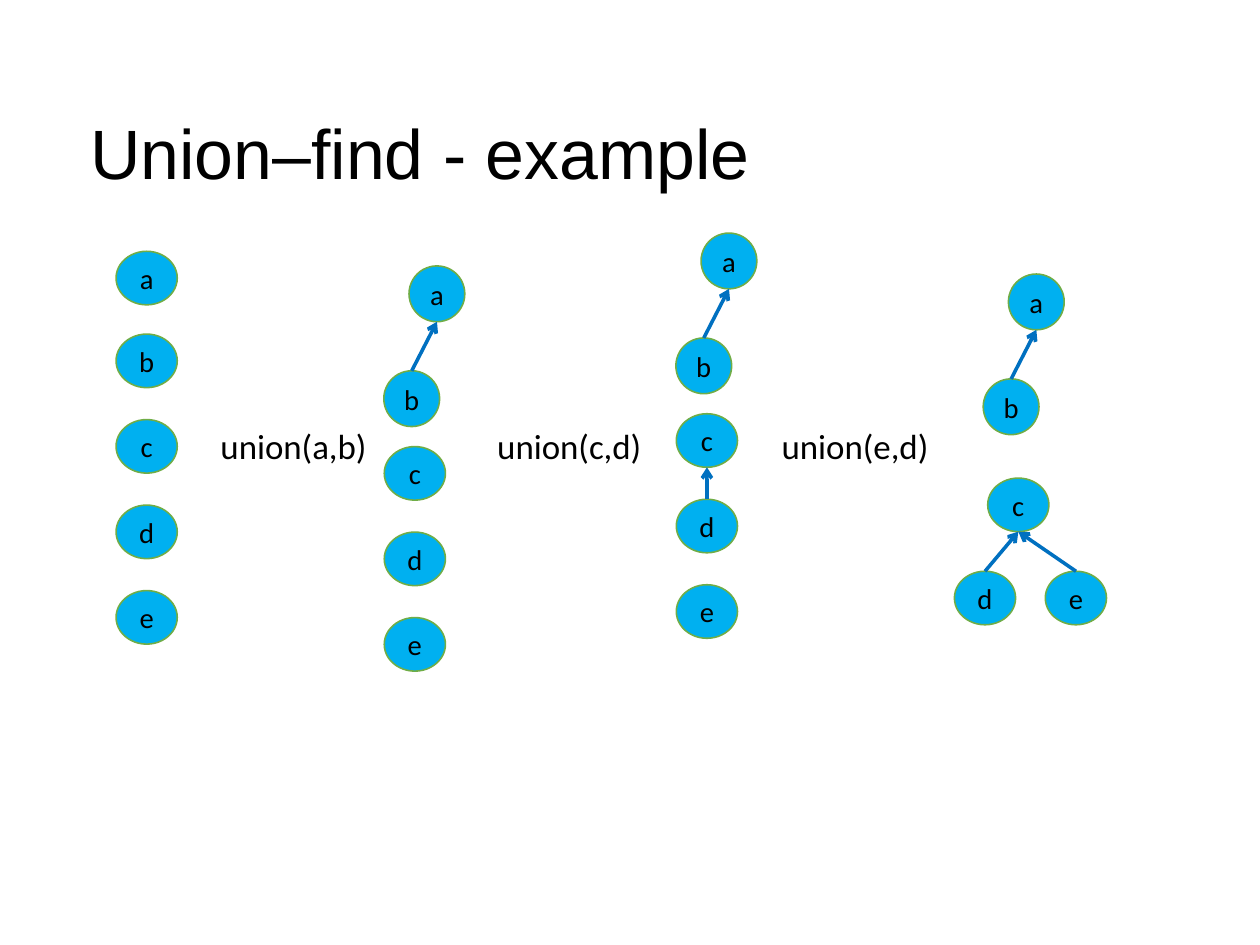
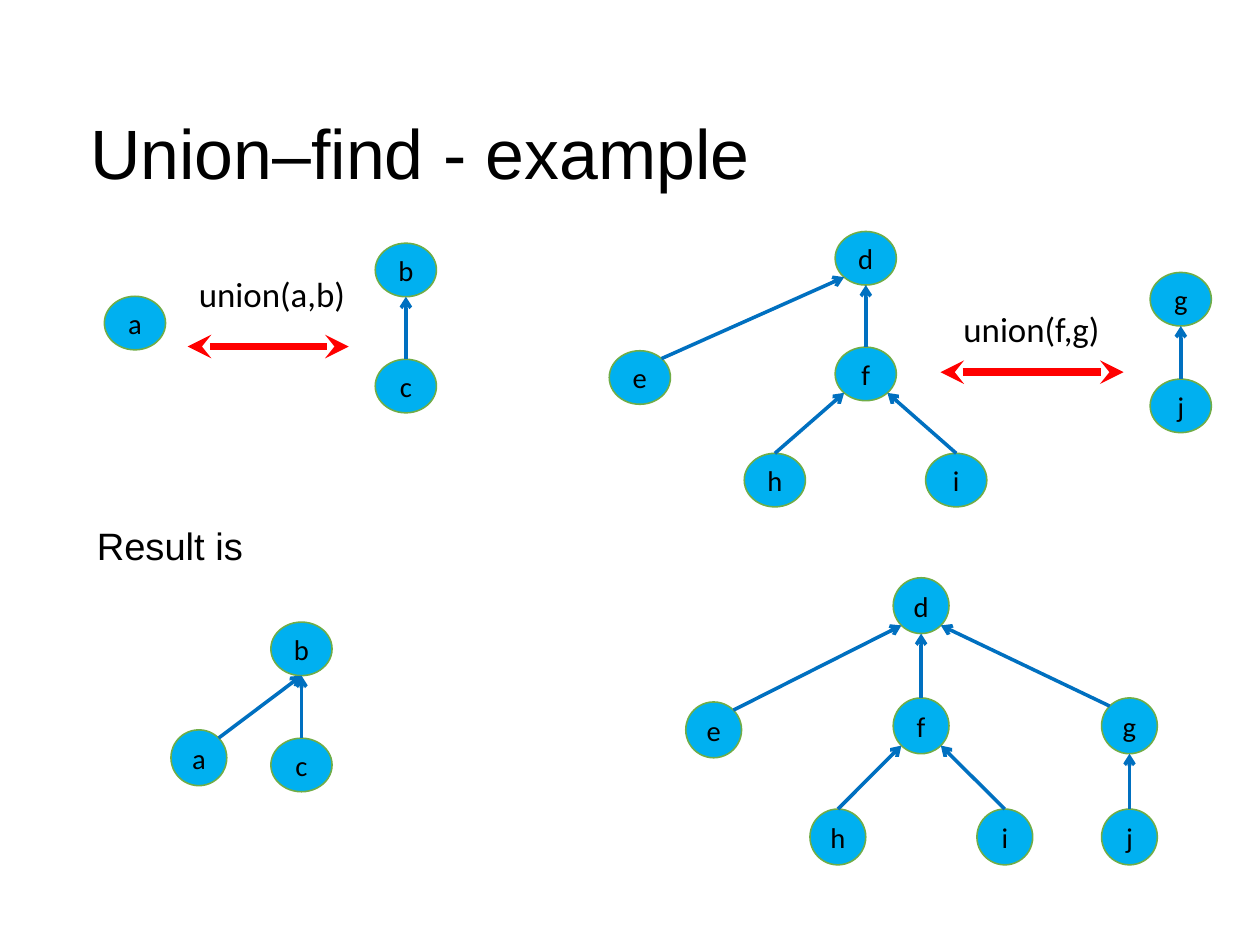
"""Builds two slides that show union-find on small trees."""
from math import sqrt

from lxml import etree
from pptx import Presentation
from pptx.dml.color import RGBColor
from pptx.enum.shapes import MSO_CONNECTOR, MSO_SHAPE
from pptx.enum.text import MSO_ANCHOR, PP_ALIGN
from pptx.oxml.ns import qn
from pptx.util import Cm, Pt

OVAL = MSO_SHAPE.OVAL
STRAIGHT = MSO_CONNECTOR.STRAIGHT
LEFT, CENTER = PP_ALIGN.LEFT, PP_ALIGN.CENTER
TOP_ANCHOR, MIDDLE = MSO_ANCHOR.TOP, MSO_ANCHOR.MIDDLE

COLORS = {"text": "000000", "node": "00B0F0", "outline": "70AD47",
          "edge": "0070C0", "union": "FF0000"}
TITLE = "Union–find - example"
TITLE_ONLY, TITLE_AND_BODY = 5, 1
WIDE, ROUND = (1.36, 1.19), (1.24, 1.24)
PITCH = 1.9

TOP, TOP_LEFT, BOTTOM_LEFT, BOTTOM, BOTTOM_RIGHT, TOP_RIGHT = 0, 1, 3, 4, 5, 7
DIAGONAL = sqrt(0.5)
SITES = {TOP: (0, -1), TOP_LEFT: (-DIAGONAL, -DIAGONAL),
         BOTTOM_LEFT: (-DIAGONAL, DIAGONAL), BOTTOM: (0, 1),
         BOTTOM_RIGHT: (DIAGONAL, DIAGONAL), TOP_RIGHT: (DIAGONAL, -DIAGONAL)}


def color(name):
    return RGBColor.from_string(COLORS[name])


def write_text(shape, text, size, font="Calibri", align=LEFT, anchor=TOP_ANCHOR):
    frame = shape.text_frame
    frame.word_wrap = True
    frame.vertical_anchor = anchor
    paragraph = frame.paragraphs[0]
    paragraph.alignment = align
    run = paragraph.add_run()
    run.text = text
    run.font.size = Pt(size)
    run.font.name = font
    run.font.color.rgb = color("text")
    return paragraph


def place_placeholder(shape, left, top, width, height, inset_top):
    shape.left, shape.top = Cm(left), Cm(top)
    shape.width, shape.height = Cm(width), Cm(height)
    frame = shape.text_frame
    frame.margin_left = frame.margin_right = frame.margin_bottom = 0
    frame.margin_top = Cm(inset_top)


def add_titled_slide(presentation, layout):
    slide = presentation.slides.add_slide(presentation.slide_layouts[layout])
    title = slide.shapes.title
    place_placeholder(title, 2, 1.58, 23.5, 3.48, 0.1)
    write_text(title, TITLE, 44, font="Arial", anchor=MIDDLE)
    return slide


def add_body(slide, text):
    body = slide.placeholders[1]
    place_placeholder(body, 2, 11.55, 24.6, 1.2, 0.05)
    paragraph = write_text(body, text, 24, font="Arial")
    paragraph.space_before = Pt(0)
    properties = paragraph._p.get_or_add_pPr()
    properties.set("marL", str(Cm(0.15)))
    properties.set("indent", "0")
    etree.SubElement(properties, qn("a:buNone"))


def add_label(slide, text, left, top):
    box = slide.shapes.add_textbox(Cm(left), Cm(top), Cm(4.5), Cm(1.14))
    write_text(box, text, 22)


def add_node(slide, letter, center, size):
    (x, y), (width, height) = center, size
    node = slide.shapes.add_shape(OVAL, Cm(x - width / 2), Cm(y - height / 2),
                                  Cm(width), Cm(height))
    node.shadow.inherit = False
    node.fill.solid()
    node.fill.fore_color.rgb = color("node")
    node.line.color.rgb = color("outline")
    node.line.width = Pt(1)
    write_text(node, letter, 18, align=CENTER, anchor=MIDDLE)
    return node


def add_arrow(slide, start, end, color_name, width, **heads):
    arrow = slide.shapes.add_connector(STRAIGHT, *start, *end)
    arrow.line.color.rgb = color(color_name)
    arrow.line.width = Pt(width)
    line = arrow.line._get_or_add_ln()
    for tag, kind in heads.items():
        etree.SubElement(line, qn(f"a:{tag}"), type=kind)
    etree.SubElement(arrow._element.spPr, qn("a:effectLst"))
    return arrow


def site_point(node, site):
    across, down = SITES[site]
    return (round(node.left + node.width * (1 + across) / 2),
            round(node.top + node.height * (1 + down) / 2))


def add_edge(slide, child, parent, child_site=TOP, parent_site=BOTTOM):
    edge = add_arrow(slide, site_point(child, child_site),
                     site_point(parent, parent_site), "edge", 2.25, tailEnd="arrow")
    glue = edge._element.find(f"{qn('p:nvCxnSpPr')}/{qn('p:cNvCxnSpPr')}")
    for tag, node, site in (("a:stCxn", child, child_site),
                            ("a:endCxn", parent, parent_site)):
        etree.SubElement(glue, qn(tag), id=str(node.shape_id), idx=str(site))


def add_forest(slide, centers, edges=(), round_letters=""):
    nodes = {letter: add_node(slide, letter, center,
                              ROUND if letter in round_letters else WIDE)
             for letter, center in centers.items()}
    for child, parent, *sites in edges:
        add_edge(slide, nodes[child], nodes[parent], *sites)


def add_union_arrow(slide, left, right, y):
    add_arrow(slide, (Cm(left), Cm(y)), (Cm(right), Cm(y)), "union", 5,
              headEnd="stealth", tailEnd="stealth")


def column(letters, x, top):
    return {letter: (x, top + index * PITCH) for index, letter in enumerate(letters)}


def joined_pair(x, y):
    return {"a": (x, y), "b": (x - 0.56, y + 2.33)}


def build_steps(presentation):
    slide = add_titled_slide(presentation, TITLE_ONLY)
    add_forest(slide, {"a": (3.26, 6.18), **column("bcde", 3.26, 8.02)})
    add_forest(slide, {**joined_pair(9.71, 6.53), **column("cde", 9.22, 10.52)},
               ["ba"], "ab")
    add_forest(slide, {**joined_pair(16.2, 5.8), **column("cde", 15.71, 9.79)},
               ["ba", "dc"], "ab")
    add_forest(slide, {**joined_pair(23.03, 6.71), "c": (22.63, 11.22),
                       "d": (21.89, 13.29), "e": (23.91, 13.29)},
               ["ba", "dc", "ec"], "ab")
    for text, left in (("union(a,b)", 4.65), ("union(c,d)", 10.8),
                       ("union(e,d)", 17.12)):
        add_label(slide, text, left, 9.32)


def build_result(presentation):
    slide = add_titled_slide(presentation, TITLE_AND_BODY)
    add_body(slide, "Result is")
    tree_edges = [("e", "d", TOP_RIGHT, BOTTOM_LEFT), "fd",
                  ("h", "f", TOP, BOTTOM_LEFT), ("i", "f", TOP, BOTTOM_RIGHT)]

    add_forest(slide, {"a": (3, 7.18), "b": (9.02, 6), "c": (9.02, 8.58)}, ["cb"])
    add_forest(slide, {"d": (19.24, 5.74), "e": (14.22, 8.39), "f": (19.24, 8.31),
                       "h": (17.22, 10.67), "i": (21.25, 10.67)}, tree_edges)
    add_forest(slide, {"g": (26.24, 6.65), "j": (26.24, 9.02)}, ["jg"])

    add_forest(slide, {"a": (4.42, 16.84), "b": (6.7, 14.42), "c": (6.7, 17)},
               ["cb", ("a", "b", TOP_RIGHT, BOTTOM)], "a")
    add_forest(slide, {"d": (20.47, 13.46), "e": (15.86, 16.22), "f": (20.47, 16.13),
                       "g": (25.1, 16.13), "h": (18.62, 18.6), "i": (22.33, 18.6),
                       "j": (25.1, 18.6)},
               tree_edges + [("g", "d", TOP_LEFT, BOTTOM_RIGHT), "jg"], "defghij")

    add_union_arrow(slide, 4.17, 7.75, 7.7)
    add_label(slide, "union(a,b)", 4.17, 5.94)
    add_union_arrow(slide, 20.9, 24.97, 8.27)
    add_label(slide, "union(f,g)", 21.16, 6.71)


def main():
    presentation = Presentation()
    presentation.slide_width, presentation.slide_height = Cm(28), Cm(21)
    build_steps(presentation)
    build_result(presentation)
    presentation.save("out.pptx")


if __name__ == "__main__":
    main()
